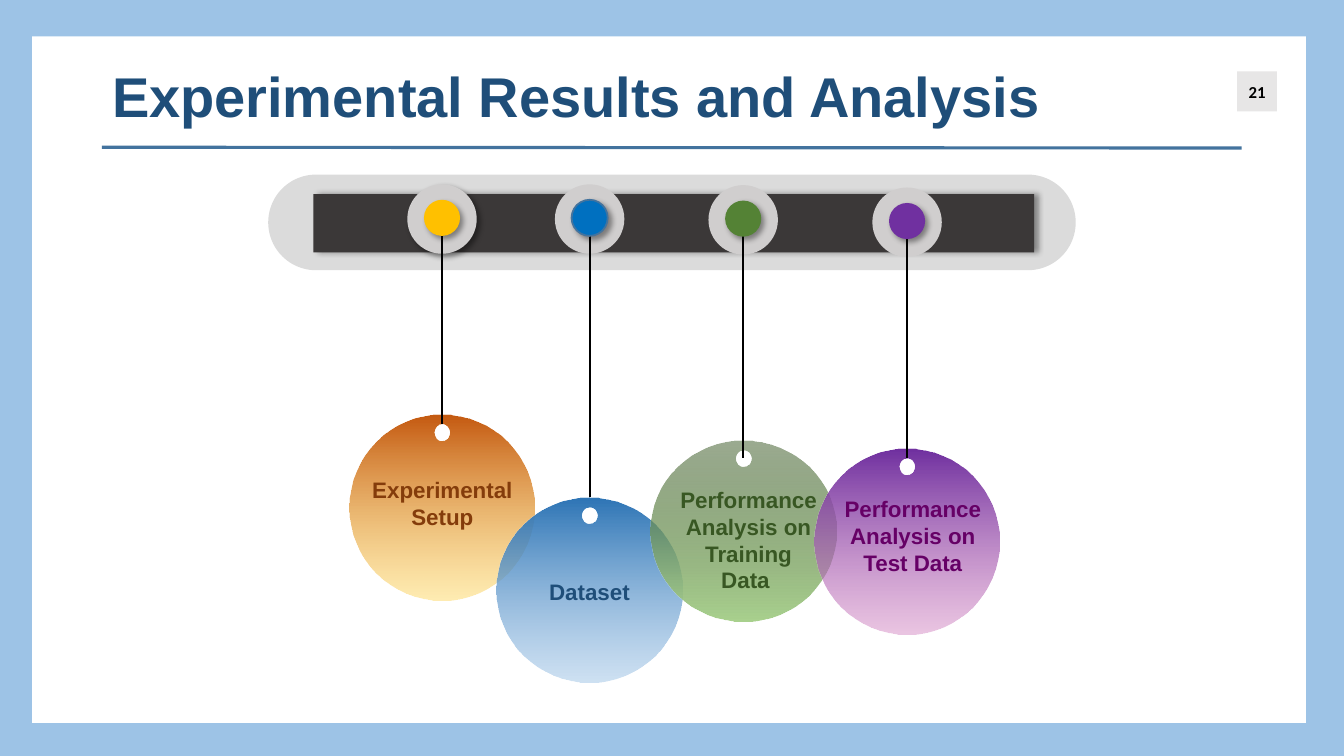
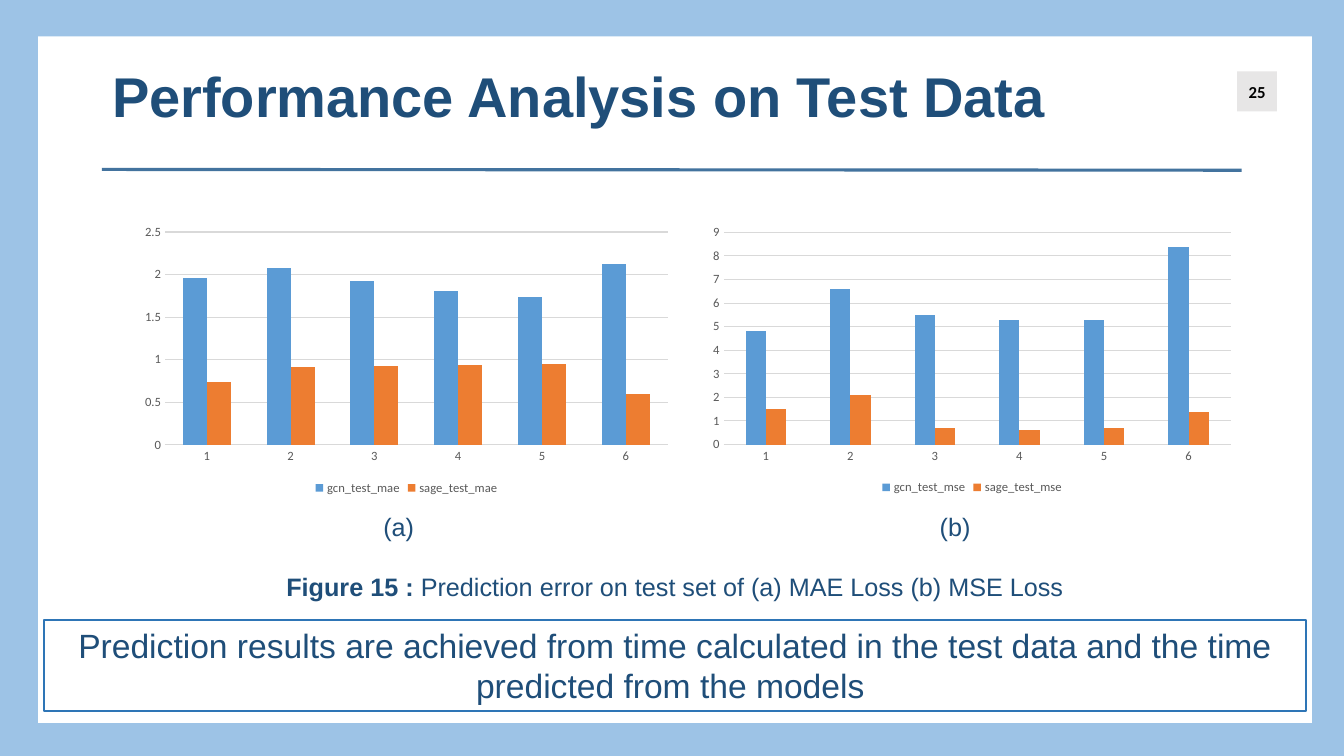
from dataclasses import dataclass
from typing import Optional

from lxml.etree import SubElement
from pptx import Presentation
from pptx.chart.data import CategoryChartData
from pptx.dml.color import RGBColor
from pptx.enum.chart import XL_CHART_TYPE, XL_LEGEND_POSITION, XL_TICK_MARK
from pptx.enum.shapes import MSO_CONNECTOR, MSO_SHAPE
from pptx.enum.text import MSO_ANCHOR as Anchor, MSO_AUTO_SIZE, PP_ALIGN as Align
from pptx.oxml.ns import qn
from pptx.util import Cm, Pt

SKY = RGBColor(0x9D, 0xC3, 0xE6)
WHITE = RGBColor(0xFF, 0xFF, 0xFF)
BLACK = RGBColor(0, 0, 0)
NAVY = RGBColor(0x1F, 0x4E, 0x79)
STEEL = RGBColor(0x43, 0x73, 0x9E)
BLUE = RGBColor(0x2E, 0x75, 0xB6)
PALE_GREY = RGBColor(0xE7, 0xE6, 0xE6)
LIGHT_GREY = RGBColor(0xDB, 0xDB, 0xDB)
RING_GREY = RGBColor(0xD0, 0xCE, 0xCE)
CHARCOAL = RGBColor(0x3B, 0x38, 0x38)
GRID_GREY = RGBColor(0xD9, 0xD9, 0xD9)
TEXT_GREY = RGBColor(0x59, 0x59, 0x59)
BROWN = RGBColor(0x84, 0x3C, 0x0B)
RUST = RGBColor(0xC5, 0x5A, 0x11)
SAND = RGBColor(0xFF, 0xD9, 0x66)
AMBER = RGBColor(0xFF, 0xC0, 0x00)
BRIGHT_BLUE = RGBColor(0x00, 0x70, 0xC0)
FOREST = RGBColor(0x38, 0x57, 0x23)
GREEN = RGBColor(0x54, 0x82, 0x35)
LIGHT_GREEN = RGBColor(0xA9, 0xD1, 0x8E)
PURPLE = RGBColor(0x70, 0x30, 0xA0)
PINK = RGBColor(0xD5, 0x8B, 0xC5)
PLUM = RGBColor(0x66, 0x00, 0x66)
SERIES_COLORS = (RGBColor(0x5B, 0x9B, 0xD5), RGBColor(0xED, 0x7D, 0x31))

DISC_WIDTH, HOLE_WIDTH, HOLE_HEIGHT, HOLE_DROP = 4.68, 0.4, 0.42, 0.46
RING_WIDTH, KNOB_WIDTH = 1.75, 0.91
BEND = 0.55  # handle length of a quarter-circle curve, per unit radius


@dataclass(frozen=True)
class Box:
    """A rectangle in centimetres."""
    left: float
    top: float
    width: float
    height: float

    def emu(self) -> tuple:
        return Cm(self.left), Cm(self.top), Cm(self.width), Cm(self.height)


@dataclass(frozen=True)
class Stop:
    color: RGBColor
    opacity: int = 100


@dataclass(frozen=True)
class Pendant:
    x: float
    ring_y: float
    disc_top: float
    disc_height: float
    cord_overlap: float
    top_stop: Stop
    bottom_stop: Stop
    knob: RGBColor
    label: tuple
    label_color: RGBColor
    label_box: Box
    ring_shadow: bool = False
    knob_line: Optional[RGBColor] = None


@dataclass(frozen=True)
class ErrorChart:
    box: Box
    gap: int
    top_value: float
    step: float
    series: dict


PENDANTS = (
    Pendant(11.14, 5.52, 10.45, 4.68, 0.23, Stop(RUST), Stop(SAND, 50), AMBER,
            ("Experimental Setup",), BROWN, Box(8.94, 11.87, 4.42, 1.63),
            ring_shadow=True),
    Pendant(14.86, 5.52, 12.53, 4.68, 0, Stop(BLUE), Stop(SKY, 50), BRIGHT_BLUE,
            ("Dataset",), NAVY, Box(12.85, 14.45, 4.01, 0.94), knob_line=STEEL),
    Pendant(18.73, 5.54, 11.1, 4.57, 0.43, Stop(FOREST, 50), Stop(LIGHT_GREEN), GREEN,
            ("Performance ", "Analysis on Training Data "), FOREST,
            Box(16.86, 12.12, 4.01, 3)),
    Pendant(22.86, 5.6, 11.31, 4.68, 0.23, Stop(PURPLE), Stop(PINK, 50), PURPLE,
            ("Performance Analysis on Test Data",), PLUM,
            Box(21, 12.36, 4.01, 2.31)),
)

CHARTS = (
    ErrorChart(Box(3.38, 5.52, 13.72, 7.06), 150, 2.5, 0.5, {
        "gcn_test_mae": (1.96, 2.08, 1.93, 1.81, 1.74, 2.13),
        "sage_test_mae": (0.74, 0.92, 0.93, 0.94, 0.95, 0.6)}),
    ErrorChart(Box(17.7, 5.53, 13.59, 7.04), 219, 9, 1, {
        "gcn_test_mse": (4.8, 6.6, 5.5, 5.3, 5.3, 8.4),
        "sage_test_mse": (1.5, 2.1, 0.7, 0.6, 0.7, 1.4)}),
)


def add_run(p, text: str, size: float, color: RGBColor, bold=False, font="Arial"):
    r = p.add_run()
    r.text = text
    r.font.name, r.font.size, r.font.bold = font, Pt(size), bold
    r.font.color.rgb = color


def paint(sp, fill: Optional[RGBColor], line: Optional[RGBColor] = None,
          width: float = 1.25):
    sp.shadow.inherit = False
    if fill is None:
        sp.fill.background()
    else:
        sp.fill.solid()
        sp.fill.fore_color.rgb = fill
    if line is None:
        sp.line.fill.background()
    else:
        sp.line.color.rgb = line
        sp.line.width = Pt(width)


def add_figure(shapes, kind, box: Box, fill, line=None, width: float = 1.25):
    sp = shapes.add_shape(kind, *box.emu())
    paint(sp, fill, line, width)
    return sp


def add_circle(shapes, x: float, y: float, width: float, fill, line=None):
    box = Box(x - width / 2, y - width / 2, width, width)
    return add_figure(shapes, MSO_SHAPE.OVAL, box, fill, line)


def cast_shadow(sp, degrees: int):
    effects = sp.element.spPr.find(qn("a:effectLst"))
    shadow = SubElement(effects, qn("a:outerShdw"), blurRad=str(Pt(4)),
                        dist=str(Pt(3)), dir=str(degrees * 60000),
                        algn="ctr", rotWithShape="0")
    color = SubElement(shadow, qn("a:srgbClr"), val=str(BLACK))
    SubElement(color, qn("a:alpha"), val="40000")


def add_line(shapes, x1: float, y1: float, x2: float, y2: float,
             color: RGBColor, width: float):
    cn = shapes.add_connector(MSO_CONNECTOR.STRAIGHT, Cm(x1), Cm(y1), Cm(x2), Cm(y2))
    cn.line.color.rgb = color
    cn.line.width = Pt(width)
    SubElement(cn.element.spPr, qn("a:effectLst"))


def add_text(shapes, box: Box, anchor=Anchor.TOP):
    tf = shapes.add_textbox(*box.emu()).text_frame
    tf.word_wrap = True
    tf.vertical_anchor = anchor
    tf.paragraphs[0].alignment = Align.CENTER
    return tf


def add_base(prs, title: str, number: str, panel_left: float, rule_y: float):
    """Add a slide with its white panel, title, rule and number badge."""
    s = prs.slides.add_slide(prs.slide_layouts[5])
    panel = add_figure(s.shapes, MSO_SHAPE.RECTANGLE,
                       Box(panel_left, 0.92, 32.1, 17.3), WHITE)
    s.shapes.element.insert(2, panel.element)  # behind the title

    sp = s.shapes.title
    sp.left, sp.top, sp.width, sp.height = Box(2.57, 1.42, 28.8, 1.96).emu()
    tf = sp.text_frame
    tf.auto_size = MSO_AUTO_SIZE.NONE
    tf.vertical_anchor = Anchor.TOP
    tf.paragraphs[0].alignment = Align.LEFT
    add_run(tf.paragraphs[0], title, 40, NAVY, bold=True)

    add_line(s.shapes, 2.57, rule_y, 31.29, rule_y + 0.02, STEEL, 2.25)
    badge = add_figure(s.shapes, MSO_SHAPE.RECTANGLE,
                       Box(31.18, 1.8, 1, 1.01), PALE_GREY)
    tf = badge.text_frame
    tf.margin_left = tf.margin_right = 0
    tf.vertical_anchor = Anchor.MIDDLE
    tf.paragraphs[0].alignment = Align.CENTER
    add_run(tf.paragraphs[0], number, 12, BLACK, bold=True, font="Calibri")
    return s


def ellipse_points(x: float, y: float, width: float, height: float) -> list:
    """Give the start and the curve points of an ellipse, clockwise from its top."""
    unit = ((0, -1), (BEND, -1), (1, -BEND), (1, 0), (1, BEND), (BEND, 1), (0, 1),
            (-BEND, 1), (-1, BEND), (-1, 0), (-1, -BEND), (-BEND, -1), (0, -1))
    return [(Cm(x + width / 2 * u), Cm(y + height / 2 * v)) for u, v in unit]


def bend_lines(sp):
    """Join each three straight segments of an outline into one curve."""
    lines = list(sp.element.iter(qn("a:lnTo")))
    for first, second, third in zip(lines[::3], lines[1::3], lines[2::3]):
        curve = SubElement(first.getparent(), qn("a:cubicBezTo"))
        first.addprevious(curve)
        for line in (first, second, third):
            curve.append(line[0])
            line.getparent().remove(line)


def add_disc(shapes, item: Pendant):
    """Draw a gradient disc with a round hole near its top."""
    hole = ellipse_points(item.x, item.disc_top + HOLE_DROP, HOLE_WIDTH, HOLE_HEIGHT)
    rim = ellipse_points(item.x, item.disc_top + item.disc_height / 2,
                         DISC_WIDTH, item.disc_height)
    builder = shapes.build_freeform(*hole[-1], scale=1.0)
    builder.add_line_segments(hole[-2::-1], close=True)
    builder.move_to(*rim[0])
    builder.add_line_segments(rim[1:], close=True)
    sp = builder.convert_to_shape()
    bend_lines(sp)
    paint(sp, None)
    sp.fill.gradient()
    sp.fill.gradient_angle = 270
    stops = (item.top_stop, item.bottom_stop)
    for gradient_stop, stop in zip(sp.fill.gradient_stops, stops):
        gradient_stop.color.rgb = stop.color
    for color, stop in zip(sp.element.spPr.iter(qn("a:srgbClr")), stops):
        if stop.opacity < 100:
            SubElement(color, qn("a:alpha"), val=str(stop.opacity * 1000))


def add_pendant(s, item: Pendant):
    shapes = s.shapes.add_group_shape().shapes
    knob_y = item.ring_y - 0.03
    add_disc(shapes, item)
    ring = add_circle(shapes, item.x, item.ring_y, RING_WIDTH, RING_GREY)
    if item.ring_shadow:
        cast_shadow(ring, 45)
    add_line(shapes, item.x, item.disc_top + item.cord_overlap, item.x, knob_y,
             BLACK, 1.25)
    knob = add_circle(shapes, item.x, knob_y, KNOB_WIDTH, item.knob, item.knob_line)
    cast_shadow(knob, 45)
    tf = add_text(shapes, item.label_box)
    for i, line in enumerate(item.label):
        p = tf.add_paragraph() if i else tf.paragraphs[0]
        p.alignment = Align.CENTER
        add_run(p, line, 16, item.label_color, bold=True)


def style_font(font, size: float, color: RGBColor):
    font.name, font.size = "Calibri", Pt(size)
    font.color.rgb = color


def add_error_chart(s, item: ErrorChart):
    data = CategoryChartData()
    data.categories = [str(n) for n in range(1, 7)]
    for name, values in item.series.items():
        data.add_series(name, values)
    chart = s.shapes.add_chart(XL_CHART_TYPE.COLUMN_CLUSTERED,
                               *item.box.emu(), data).chart
    style_font(chart.font, 10, BLACK)
    chart.has_title = False
    chart.has_legend = True
    chart.legend.position = XL_LEGEND_POSITION.BOTTOM
    chart.legend.include_in_layout = False
    style_font(chart.legend.font, 9, TEXT_GREY)

    plot = chart.plots[0]
    plot.gap_width, plot.overlap, plot.vary_by_categories = item.gap, 0, False
    for series, color in zip(plot.series, SERIES_COLORS):
        series.format.fill.solid()
        series.format.fill.fore_color.rgb = color

    cats, vals = chart.category_axis, chart.value_axis
    for axis in (cats, vals):
        axis.major_tick_mark = axis.minor_tick_mark = XL_TICK_MARK.NONE
        style_font(axis.tick_labels.font, 9, TEXT_GREY)
    vals.minimum_scale, vals.maximum_scale = 0, item.top_value
    vals.major_unit = item.step
    vals.format.line.fill.background()
    for line in (cats.format.line, vals.major_gridlines.format.line):
        line.color.rgb = GRID_GREY
        line.width = Pt(0.75)


def build_overview(prs):
    s = add_base(prs, "Experimental Results and Analysis", "21", 0.81, 3.71)
    rail = s.shapes.add_group_shape().shapes
    casing = add_figure(rail, MSO_SHAPE.ROUNDED_RECTANGLE,
                        Box(6.76, 4.4, 20.35, 2.41), LIGHT_GREY)
    casing.adjustments[0] = 0.5
    bar = add_figure(rail, MSO_SHAPE.RECTANGLE, Box(7.9, 4.89, 18.16, 1.47), CHARCOAL)
    cast_shadow(bar, 0)
    for item in PENDANTS:
        add_pendant(s, item)


def build_test_errors(prs):
    s = add_base(prs, "Performance Analysis on Test Data", "25", 0.96, 4.27)
    for item in CHARTS:
        add_error_chart(s, item)

    finding = add_figure(s.shapes, MSO_SHAPE.RECTANGLE,
                         Box(1.11, 15.62, 31.8, 2.3), None, BLUE, 1.5)
    tf = finding.text_frame
    tf.word_wrap = True
    tf.vertical_anchor = Anchor.TOP
    tf.paragraphs[0].alignment = Align.CENTER
    add_run(tf.paragraphs[0], "Prediction results are achieved from time calculated in "
            "the test data and the time predicted from the models ", 24, NAVY)

    p = add_text(s.shapes, Box(1.11, 14.27, 31.8, 1.02)).paragraphs[0]
    add_run(p, "Figure 15 : ", 18, NAVY, bold=True)
    add_run(p, "Prediction error on test set of (a) MAE Loss (b) MSE Loss", 18, NAVY)
    for label, left in (("(a)", 8.59), ("(b)", 22.61)):
        tf = add_text(s.shapes, Box(left, 12.82, 2.92, 0.91), Anchor.MIDDLE)
        add_run(tf.paragraphs[0], label, 18, NAVY)


def main():
    prs = Presentation()
    prs.slide_width, prs.slide_height = Cm(33.87), Cm(19.05)
    fill = prs.slide_master.background.fill
    fill.solid()
    fill.fore_color.rgb = SKY
    build_overview(prs)
    build_test_errors(prs)
    prs.save("out.pptx")


if __name__ == "__main__":
    main()
